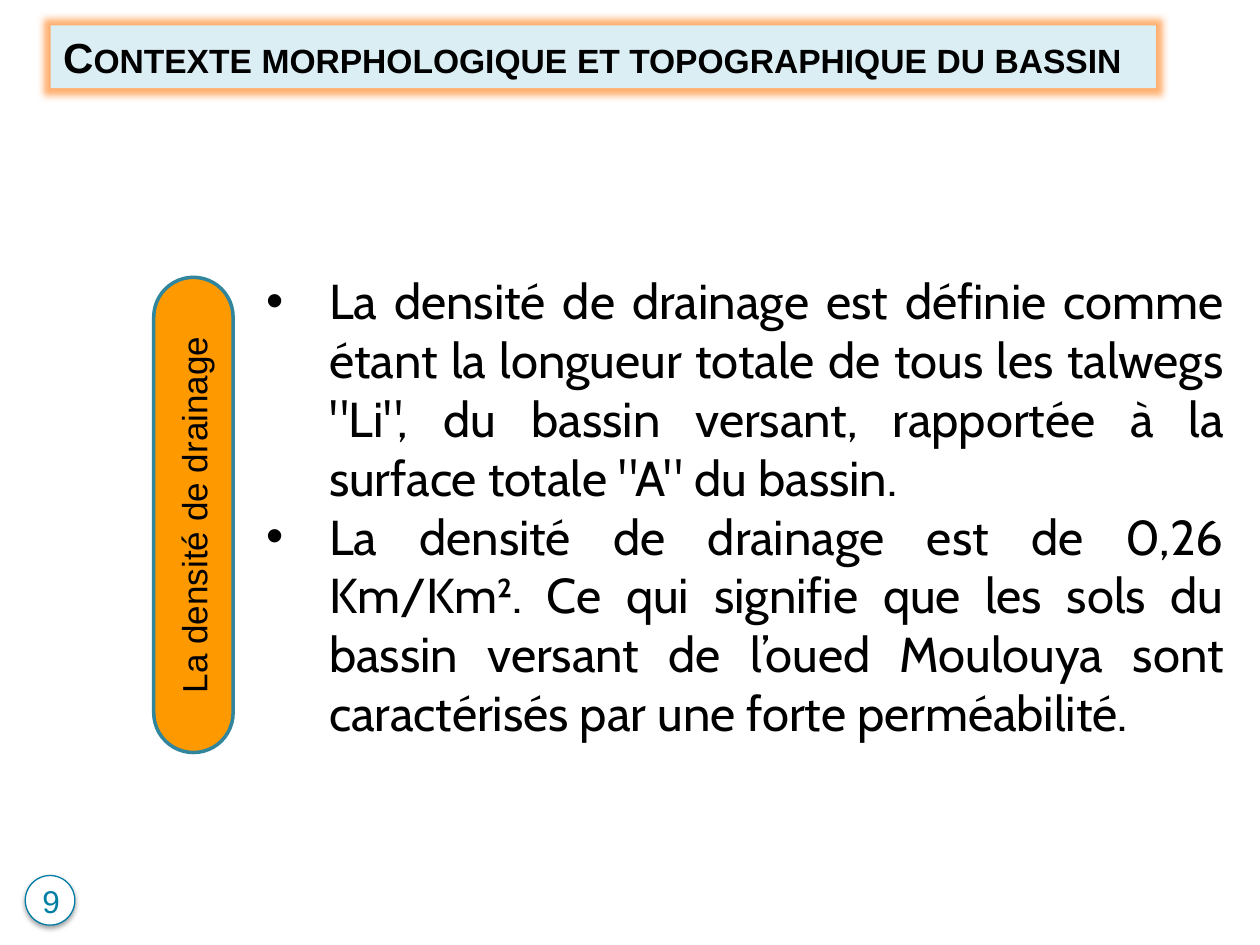
import pptx
import pptx.dml.color
import pptx.enum.shapes
import pptx.enum.text
import pptx.oxml
import pptx.oxml.ns
import pptx.util
from pptx.dml.color import RGBColor
from pptx.util import Cm, Pt

BLACK = RGBColor(0x00, 0x00, 0x00)
WHITE = RGBColor(0xFF, 0xFF, 0xFF)
ORANGE = RGBColor(0xFF, 0x99, 0x00)
GLOW_ORANGE = RGBColor(0xFF, 0xB0, 0x70)
TEAL = RGBColor(0x31, 0x85, 0x9C)
BADGE_LINE = RGBColor(0x00, 0x7C, 0xA7)
BADGE_TEXT = RGBColor(0x00, 0x7E, 0xA4)
PALE_BLUE = RGBColor(0xDB, 0xEE, 0xF4)

ALIGN = pptx.enum.text.PP_ALIGN
ANCHOR = pptx.enum.text.MSO_ANCHOR
SHAPE = pptx.enum.shapes.MSO_SHAPE

DRAINAGE_POINTS = [
    "La densité de drainage est définie comme étant la longueur totale de tous les "
    "talwegs \"Li\", du bassin versant, rapportée à la surface totale \"A\" du bassin.",
    "La densité de drainage est de 0,26 Km/Km². Ce qui signifie que les sols du bassin "
    "versant de l’oued Moulouya sont caractérisés par une forte perméabilité.",
]


def place(shape, left, top, width, height):
    shape.left, shape.top = Cm(left), Cm(top)
    shape.width, shape.height = Cm(width), Cm(height)


def add_run(paragraph, text, size, color=BLACK, font="Arial", bold=False):
    run = paragraph.add_run()
    run.text = text
    run.font.name = font
    run.font.size = Pt(size)
    run.font.bold = bold
    run.font.color.rgb = color
    return run


def add_effect(shape, effect_xml):
    """Give the shape one effect, in place of those of its theme style."""
    shape.shadow.inherit = False
    effects = shape._element.spPr.find(pptx.oxml.ns.qn("a:effectLst"))
    effects.append(pptx.oxml.parse_xml(effect_xml))


def add_filled_shape(shapes, kind, box, fill, line, line_width):
    shape = shapes.add_shape(kind, *(Cm(length) for length in box))
    shape.shadow.inherit = False
    shape.fill.solid()
    shape.fill.fore_color.rgb = fill
    shape.line.color.rgb = line
    shape.line.width = Pt(line_width)
    return shape


def fill_title(title):
    place(title, 1.02, 0.51, 22.28, 1.27)
    title.fill.solid()
    title.fill.fore_color.rgb = PALE_BLUE
    title.line.fill.background()
    add_effect(title, f'<a:glow {pptx.oxml.ns.nsdecls("a")} rad="{Pt(8)}">'
                      f'<a:srgbClr val="{GLOW_ORANGE}"/></a:glow>')
    frame = title.text_frame
    frame.auto_size = pptx.enum.text.MSO_AUTO_SIZE.NONE
    frame.word_wrap = False
    frame.vertical_anchor = ANCHOR.MIDDLE
    paragraph = frame.paragraphs[0]
    paragraph.alignment = ALIGN.LEFT
    run = add_run(paragraph, "Contexte morphologique et topographique du bassin", 24, bold=True)
    run._r.get_or_add_rPr().set("cap", "small")


def fill_body(body):
    place(body, 5.11, 5.33, 19.81, 9.83)
    frame = body.text_frame
    frame.auto_size = pptx.enum.text.MSO_AUTO_SIZE.NONE
    frame.vertical_anchor = ANCHOR.TOP
    for index, text in enumerate(DRAINAGE_POINTS):
        paragraph = frame.add_paragraph() if index else frame.paragraphs[0]
        paragraph.alignment = ALIGN.JUSTIFY
        paragraph.space_before = Pt(0)
        properties = paragraph._p.get_or_add_pPr()
        properties.set("marL", str(Cm(1.27)))
        properties.set("indent", str(-Cm(1.27)))
        add_run(paragraph, text, 28, font="Cabin")


def add_side_label(slide):
    label = add_filled_shape(slide.shapes, SHAPE.ROUNDED_RECTANGLE,
                             (-0.89, 9.58, 9.58, 1.6), ORANGE, TEAL, 2)
    label.adjustments[0] = 0.5
    label.rotation = 270
    label.text_frame.vertical_anchor = ANCHOR.MIDDLE
    paragraph = label.text_frame.paragraphs[0]
    paragraph.alignment = ALIGN.CENTER
    add_run(paragraph, "La densité de drainage", 20)


def add_page_badge(slide):
    group = slide.shapes.add_group_shape()
    circle = add_filled_shape(group.shapes, SHAPE.OVAL, (0.51, 17.65, 1, 1),
                              WHITE, BADGE_LINE, 0.75)
    add_effect(circle, f'<a:outerShdw {pptx.oxml.ns.nsdecls("a")} blurRad="{Pt(3.1)}" '
                       f'dist="{Pt(1.6)}" dir="5400000" rotWithShape="0">'
                       f'<a:srgbClr val="{BLACK}"><a:alpha val="38000"/></a:srgbClr>'
                       '</a:outerShdw>')
    number = group.shapes.add_textbox(Cm(0.38), Cm(17.65), Cm(1.3), Cm(1.02))
    number.text_frame.word_wrap = True
    paragraph = number.text_frame.paragraphs[0]
    paragraph.alignment = ALIGN.CENTER
    add_run(paragraph, "9", 18, BADGE_TEXT)


def main():
    presentation = pptx.Presentation()
    presentation.slide_width = Cm(25.4)
    presentation.slide_height = Cm(19.05)
    slide = presentation.slides.add_slide(presentation.slide_layouts[1])
    fill_title(slide.shapes.title)
    fill_body(slide.placeholders[1])
    add_side_label(slide)
    add_page_badge(slide)
    presentation.save("out.pptx")


if __name__ == "__main__":
    main()
